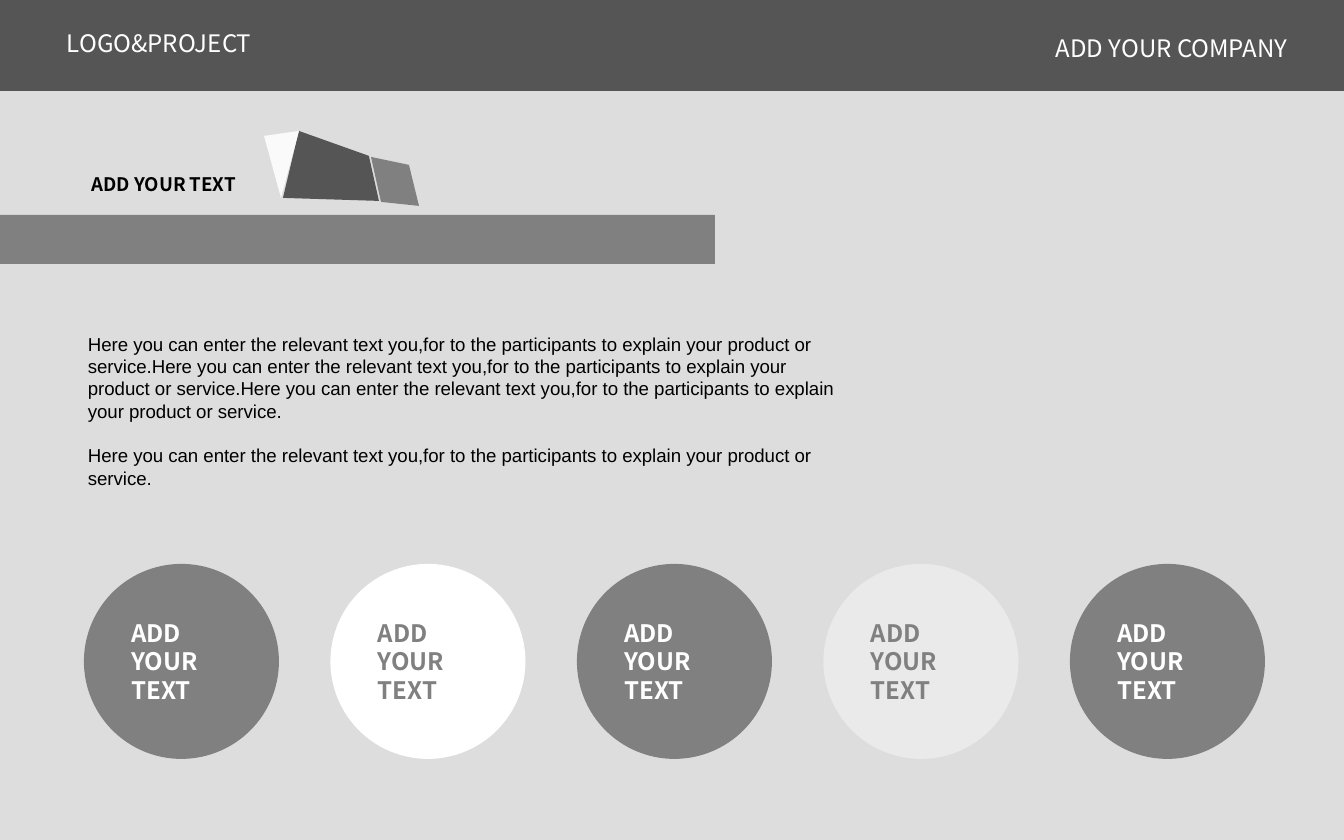
import pptx
import pptx.util
import pptx.dml.color
import pptx.enum.shapes
import pptx.enum.text
import pptx.oxml.ns
import lxml.etree

PX = 914400 / 192
INK = {
    "back": "DDDDDD",
    "black": "000000",
    "gray": "808080",
    "pale": "EAEAEA",
    "white": "FFFFFF",
}
SANS = "Noto Sans CJK SC"
KIND = pptx.enum.shapes.MSO_SHAPE
HINT = "Here you can enter the relevant text you,for to the participants to explain your product or service."


def emu(*sizes):
    return [round(size * PX) for size in sizes]


def rgb(name):
    return pptx.dml.color.RGBColor.from_string(INK[name])


def paint(shape, color, alpha=100):
    shape.shadow.inherit = False
    shape.line.fill.background()
    shape.fill.solid()
    shape.fill.fore_color.rgb = rgb(color)
    if alpha < 100:
        qn = pptx.oxml.ns.qn
        fill = shape.fill._xPr.find(qn("a:solidFill"))
        lxml.etree.SubElement(fill[0], qn("a:alpha"), val=str(alpha * 1000))


def write(frame, text, size=9, font=SANS, color="white", bold=False, wrap=True, gap=0):
    frame.word_wrap = wrap
    for i, line in enumerate(text.split("\n")):
        para = frame.paragraphs[0] if i == 0 else frame.add_paragraph()
        para.alignment = pptx.enum.text.PP_ALIGN.LEFT
        if i:
            para.space_before = pptx.util.Pt(gap)
        run = para.add_run()
        run.text = line
        run.font.size = pptx.util.Pt(size)
        run.font.name = font
        run.font.bold = bold
        run.font.color.rgb = rgb(color)


def label(slide, box, text, **style):
    frame = slide.shapes.add_textbox(*emu(*box)).text_frame
    frame.auto_size = pptx.enum.text.MSO_AUTO_SIZE.SHAPE_TO_FIT_TEXT
    write(frame, text, **style)


def header(slide, x, y, w, h):
    bar = slide.shapes.add_shape(KIND.RECTANGLE, *emu(x, y, w, h))
    paint(bar, "black", 61)
    label(slide, (x + 48, y + 19, 225, 48), "LOGO&PROJECT", wrap=False)
    label(slide, (x + w - 307, y + 24, 272, 48), "ADD YOUR COMPANY", wrap=False)


def title(slide, x, y, w, h):
    bar = slide.shapes.add_shape(KIND.RECTANGLE, *emu(x, y + h - 49, w, 49))
    paint(bar, "gray")
    label(slide, (x + 73, y + 32, 184, 42), "ADD YOUR TEXT",
          size=7, color="black", bold=True, wrap=False)
    emblem(slide, x + 264, y)


def emblem(slide, x, y):
    facets = [
        ([(35, 0), (19, 67), (115, 70), (105, 25)], "black", 61),
        ([(107, 26), (117, 71), (155, 75), (145, 34)], "gray", 100),
        ([(0, 5), (35, 0), (17, 67)], "white", 88),
    ]
    for points, color, alpha in facets:
        path = slide.shapes.build_freeform(*points[0], scale=PX)
        path.add_line_segments(points[1:], close=True)
        paint(path.convert_to_shape(*emu(x, y)), color, alpha)


def circles(slide, x, y, w, h):
    fills = ["gray", "white", "gray", "pale", "gray"]
    step = (w - h) / (len(fills) - 1)
    for i, fill in enumerate(fills):
        disc = slide.shapes.add_shape(KIND.OVAL, *emu(x + i * step, y, h, h))
        paint(disc, fill)
        disc.text_frame.vertical_anchor = pptx.enum.text.MSO_ANCHOR.MIDDLE
        ink = "white" if fill == "gray" else "gray"
        write(disc.text_frame, "ADD YOUR TEXT", color=ink, bold=True)


def main():
    deck = pptx.Presentation()
    deck.slide_width, deck.slide_height = emu(1344, 840)
    slide = deck.slides.add_slide(deck.slide_layouts[6])
    slide.background.fill.solid()
    slide.background.fill.fore_color.rgb = rgb("back")
    header(slide, 0, 0, 1344, 91)
    label(slide, (69, 323, 787, 177), HINT * 3 + "\n" + HINT,
          size=7, font="Arial", color="black", gap=8.4)
    title(slide, 0, 131, 715, 133)
    circles(slide, 84, 564, 1181, 195)
    deck.save("out.pptx")


if __name__ == "__main__":
    main()
